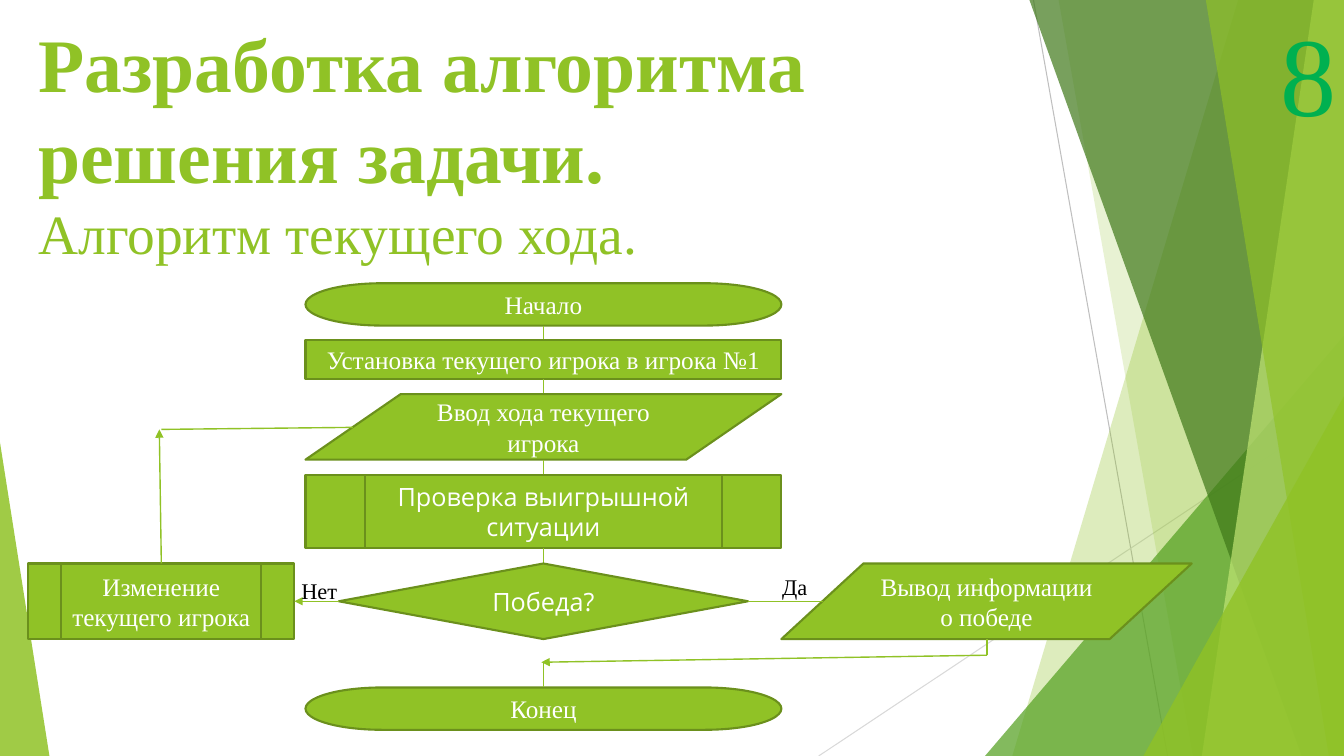
from pptx import Presentation
from pptx.dml.color import RGBColor as RGB
from pptx.enum.shapes import MSO_CONNECTOR as LINK, MSO_SHAPE as KIND
from pptx.enum.text import MSO_ANCHOR as ANCHOR, PP_ALIGN as ALIGN
from pptx.oxml.ns import qn
from pptx.util import Inches, Pt
from lxml.etree import SubElement as Sub

HUES = {
    "lime": "90C226", "edge": "6B901C", "leaf": "54A021", "moss": "3F7819",
    "pale": "C0E474", "ash": "BFBFBF", "fog": "D9D9D9", "white": "FFFFFF",
    "black": "000000", "page": "00B050",
}
SERIF, SANS = "Times New Roman", "Open Sans"
WIDE, HIGH = 13.33, 7.5
LEFT, SPAN = 3.03, 4.72
MID = LEFT + SPAN / 2
ROW, TALL = 5.59, 0.75
AXIS = ROW + TALL / 2


def hue(name):
    return RGB.from_string(HUES[name])


def style(font, tint, **form):
    for key, value in form.items():
        setattr(font, key, value)
    font.color.rgb = hue(tint)


def paint(shape, tint, alpha):
    shape.shadow.inherit = False
    shape.fill.solid()
    shape.fill.fore_color.rgb = hue(tint)
    shape.line.fill.background()
    color = shape.fill._xPr.find(qn("a:solidFill"))[0]
    Sub(color, qn("a:alpha"), val=str(alpha * 1000))


def facet(slide, dots, tint, alpha):
    pen = slide.shapes.build_freeform(*map(Inches, dots[0]), scale=1.0)
    pen.add_line_segments([tuple(map(Inches, dot)) for dot in dots[1:]])
    paint(pen.convert_to_shape(), tint, alpha)


def wedge(slide, box, peak, tint, alpha):
    shape = slide.shapes.add_shape(KIND.ISOSCELES_TRIANGLE, *map(Inches, box))
    shape.adjustments[0] = peak
    paint(shape, tint, alpha)


def link(slide, start, end, tint="lime", width=1, arrow=False):
    line = slide.shapes.add_connector(
        LINK.STRAIGHT, *map(Inches, (*start, *end)))
    line.line.color.rgb = hue(tint)
    line.line.width = Pt(width)
    if arrow:
        Sub(line.line._get_or_add_ln(), qn("a:tailEnd"), type="triangle")
    Sub(line._element.spPr, qn("a:effectLst"))


def block(slide, kind, box, text, face=SERIF):
    shape = slide.shapes.add_shape(kind, *map(Inches, box))
    shape.shadow.inherit = False
    shape.fill.solid()
    shape.fill.fore_color.rgb = hue("lime")
    shape.line.color.rgb = hue("edge")
    shape.line.width = Pt(1.5)
    frame = shape.text_frame
    frame.word_wrap = True
    frame.vertical_anchor = ANCHOR.MIDDLE
    part = frame.paragraphs[0]
    part.alignment = ALIGN.CENTER
    run = part.add_run()
    run.text = text
    style(run.font, "white", name=face, size=Pt(18))


def label(slide, box, text, size, tint):
    frame = slide.shapes.add_textbox(*map(Inches, box)).text_frame
    frame.word_wrap = True
    run = frame.paragraphs[0].add_run()
    run.text = text
    style(run.font, tint, name=SERIF, size=Pt(size))


def scene(slide):
    link(slide, (10.25, 0), (11.58, HIGH), "ash", 0.75)
    link(slide, (WIDE, 4.03), (8.12, HIGH), "fog", 0.75)

    def band(top, foot, tint, alpha):
        dots = [(top, 0), (WIDE, 0), (WIDE, HIGH), (foot, HIGH)]
        facet(slide, dots, tint, alpha)

    band(12.28, 10.04, "lime", 30)
    band(10.5, 11.83, "lime", 20)
    wedge(slide, (9.77, 3.33, 3.56, 4.17), 1, "leaf", 72)
    band(10.21, 12.91, "moss", 70)
    band(13.03, 11.92, "pale", 70)
    band(11.96, 13.18, "lime", 65)
    wedge(slide, (11.34, 3.93, 1.99, 3.57), 1, "lime", 80)
    wedge(slide, (0, 4.39, 0.49, 3.11), 0, "lime", 85)


def head(slide):
    title = slide.shapes.title
    slide.shapes._spTree.append(title._element)
    place = dict(left=0.28, top=0.12, width=10.03, height=2.01)
    for key, value in place.items():
        setattr(title, key, Inches(value))
    frame = title.text_frame
    frame.word_wrap = True
    frame.vertical_anchor = ANCHOR.TOP
    part = frame.paragraphs[0]
    part.alignment = ALIGN.LEFT
    lines = [("Разработка алгоритма решения задачи.", 54, True),
             ("Алгоритм текущего хода.", 39.6, False)]
    for spot, (text, size, bold) in enumerate(lines):
        if spot:
            part.add_line_break()
        run = part.add_run()
        run.text = text
        style(run.font, "lime", name=SERIF, size=Pt(size), bold=bold)


def chart(slide):
    steps = [
        (KIND.FLOWCHART_TERMINATOR, 2.81, 0.42, "Начало", SERIF),
        (KIND.FLOWCHART_PROCESS, 3.37, 0.39,
         "Установка текущего игрока в игрока №1", SERIF),
        (KIND.FLOWCHART_DATA, 3.91, 0.65, "Ввод хода текущего игрока", SERIF),
        (KIND.FLOWCHART_PREDEFINED_PROCESS, 4.71, 0.73,
         "Проверка выигрышной ситуации", SANS),
    ]
    tops = [step[1] for step in steps[1:]] + [ROW]
    for (kind, top, tall, text, face), below in zip(steps, tops):
        block(slide, kind, (LEFT, top, SPAN, tall), text, face)
        link(slide, (MID, top + tall), (MID, below))
    block(slide, KIND.FLOWCHART_DECISION, (3.36, ROW, 4.06, TALL),
          "Победа?", SANS)
    block(slide, KIND.FLOWCHART_DATA, (7.75, ROW, 4.07, TALL),
          "Вывод информации о победе")
    block(slide, KIND.FLOWCHART_PREDEFINED_PROCESS, (0.28, ROW, 2.64, TALL),
          "Изменение текущего игрока")
    block(slide, KIND.FLOWCHART_TERMINATOR, (LEFT, 6.82, SPAN, 0.42), "Конец")

    link(slide, (1.6, ROW), (1.58, 4.26), arrow=True)
    link(slide, (1.6, 4.26), (3.5, 4.24))
    link(slide, (3.36, AXIS), (2.92, AXIS), arrow=True)
    link(slide, (7.42, AXIS), (8.16, AXIS))
    link(slide, (9.79, ROW + TALL), (9.79, 6.5))
    link(slide, (9.79, 6.5), (5.37, 6.57), arrow=True)
    link(slide, (MID, 6.57), (MID, 6.82))
    label(slide, (2.89, 5.68, 0.66, 0.37), "Нет", 16, "black")
    label(slide, (7.66, 5.64, 0.64, 0.37), "Да", 16, "black")


def main():
    deck = Presentation()
    deck.slide_width, deck.slide_height = Inches(WIDE), Inches(HIGH)
    slide = deck.slides.add_slide(deck.slide_layouts[5])
    scene(slide)
    head(slide)
    chart(slide)
    label(slide, (12.6, 0, 0.73, 1.45), "8", 80, "page")
    deck.save("out.pptx")


main()
